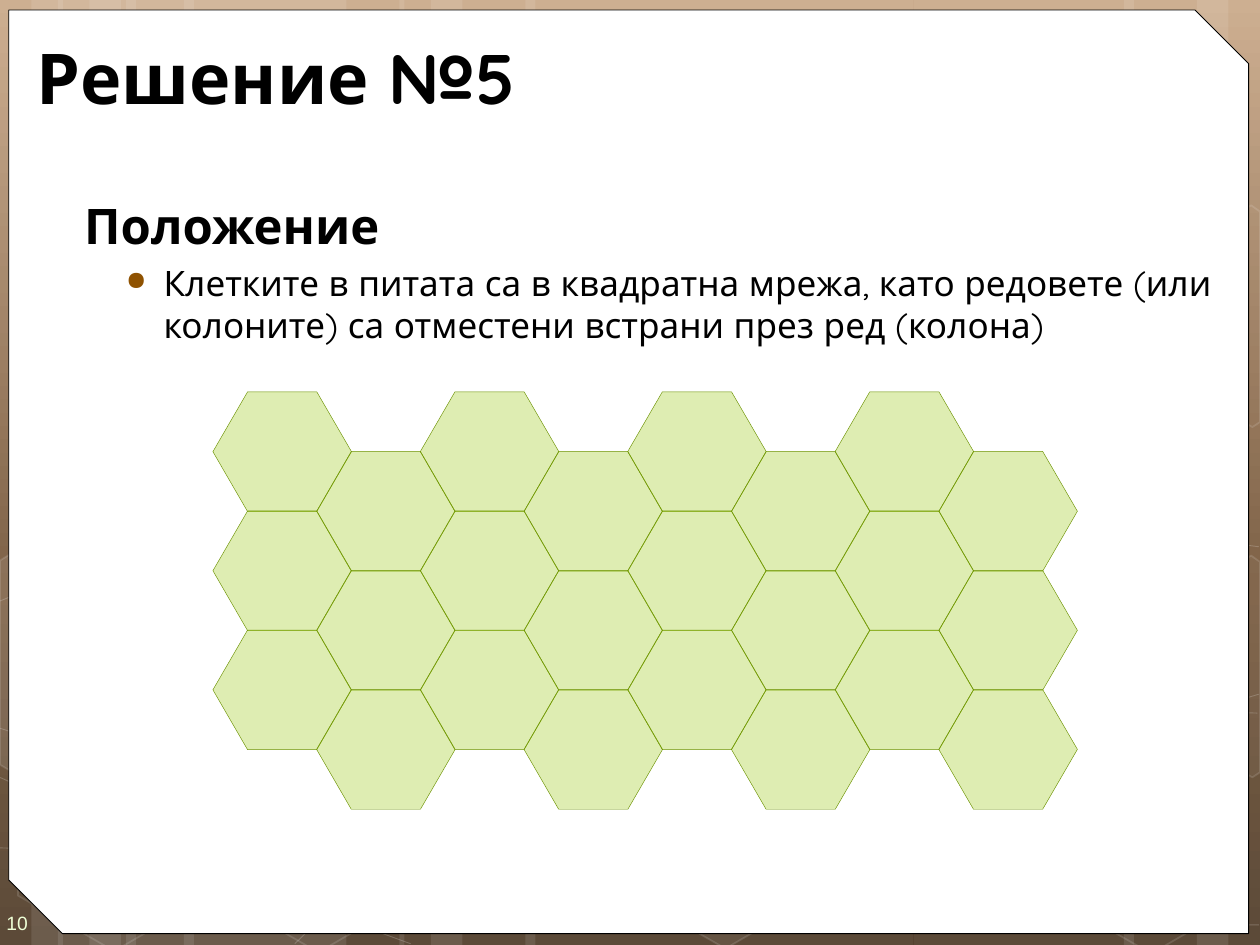
import copy

import pptx
import pptx.util
import pptx.dml.color
import pptx.enum.shapes
import pptx.enum.text
import pptx.oxml
import pptx.oxml.ns

SHAPE = pptx.enum.shapes.MSO_SHAPE
ANCHOR = pptx.enum.text.MSO_ANCHOR
Inches, Pt = pptx.util.Inches, pptx.util.Pt
W, H = 10, 7.5
COLORS = {"white": "FFFFFF", "black": "000000", "number": "EEFFD6", "bullet": "8F5201",
          "cell": "94C600", "cell_line": "6B9100"}
BACKDROP = [(0, "C8A685"), (0.62, "705032"), (1, "4A3622")]

TITLE = "Решение №5"
HEADING = "Положение"
POINT = ("Клетките в питата са в квадратна мрежа, като редовете (или колоните) "
         "са отместени встрани през ред (колона)")
PAGE = "10"

STRIPES = [(1, 1.75), (0, 0.5), (0.25, 0.83), (1.46, 1.75), (0.46, 0.5), (0.71, 0.83),
           (7.25, 1.75), (9.5, 0.5), (8.92, 0.83), (4.17, 3.08), (3.17, 0.5), (3.42, 0.83)]
CURVES = [
    [(0, 6.73), (1.82, 6.78), (4.5, 6.65), (7.83, 6.17), (9.99, 5.51)],
    [(0, 4.77), (1.13, 4.31), (3.39, 3.87), (6.46, 3.87), (9.99, 4.34)],
    [(0, 6.17), (1.64, 6.9), (3.26, 7.49)],
    [(0, 5.78), (1.2, 6.16), (3.48, 6.73), (6.2, 7.18), (8.44, 7.36), (9.99, 7.34)],
    [(2.34, 7.49), (2.94, 6.91), (4.61, 6.09), (6.72, 5.69), (8.78, 5.62), (9.98, 5.66)],
]
EDGE_HEXAGONS = [(4.88, 5.89, 6), (0.03, 5.91, None), (1.65, 5.92, None), (8.26, 5.93, None)]
CUT_HEXAGONS = [
    ([(0, 4.45), (0.11, 4.38), (0.87, 4.82), (0.87, 5.7), (0.12, 6.14), (0, 6.07)], 10),
    ([(9.18, 4.85), (9.93, 4.41), (10, 4.46), (10, 6.13), (9.94, 6.17), (9.17, 5.73)], 4),
    ([(9.18, 2.07), (9.93, 1.63), (10, 1.68), (10, 3.35), (9.94, 3.39), (9.17, 2.95)], None),
]
COMB_COLS, COMB_ROWS = 8, 3
COMB_LEFT, COMB_TOP = 1.69, 3.11
CELL_W, CELL_H = 1.1, 0.95
COL_STEP, ROW_STEP = 0.823, 0.945


def rgb(name):
    return pptx.dml.color.RGBColor.from_string(COLORS.get(name, name))


def set_alpha(fill, percent):
    color = fill._xPr.find(".//" + pptx.oxml.ns.qn("a:srgbClr"))
    color.append(pptx.oxml.parse_xml(
        f'<a:alpha {pptx.oxml.ns.nsdecls("a")} val="{percent * 1000}"/>'))


def paint(sp, fill=None, alpha=100, line=None, width=1, line_alpha=100):
    sp.shadow.inherit = False
    for target, color, opacity in ((sp.fill, fill, alpha), (sp.line.fill, line, line_alpha)):
        if color is None:
            target.background()
            continue
        target.solid()
        target.fore_color.rgb = rgb(color)
        if opacity < 100:
            set_alpha(target, opacity)
    if line:
        sp.line.width = Pt(width)


def add_preset(kind, x, y, w, h, adjust=(), rotation=0, **look):
    sp = s.shapes.add_shape(kind, Inches(x), Inches(y), Inches(w), Inches(h))
    for i, value in enumerate(adjust):
        sp.adjustments[i] = value
    sp.rotation = rotation
    paint(sp, **look)
    return sp


def add_outline(points, close, **look):
    start, *rest = [(Inches(x), Inches(y)) for x, y in points]
    builder = s.shapes.build_freeform(*start)
    builder.add_line_segments(rest, close=close)
    paint(builder.convert_to_shape(), **look)


def write(p, text, size, color="black", bold=False, font="Quicksand", before=0):
    p.alignment = pptx.enum.text.PP_ALIGN.LEFT
    p.space_before = Pt(before)
    r = p.add_run()
    r.text = text
    r.font.size, r.font.bold, r.font.name = Pt(size), bold, font
    r.font.color.rgb = rgb(color)


def place(sp, x, y, w, h, anchor):
    sp.left, sp.top, sp.width, sp.height = (Inches(v) for v in (x, y, w, h))
    tf = sp.text_frame
    tf.word_wrap = True
    tf.auto_size = pptx.enum.text.MSO_AUTO_SIZE.NONE
    tf.vertical_anchor = anchor
    return tf


def indent(p, left, first=0, bullet=None):
    ppr = p._p.get_or_add_pPr()
    ppr.set("marL", str(Inches(left)))
    ppr.set("indent", str(Inches(first)))
    if bullet:
        ns = pptx.oxml.ns.nsdecls("a")
        for xml in (f'<a:buClr {ns}><a:srgbClr val="{COLORS["bullet"]}"/></a:buClr>',
                    f'<a:buSzPct {ns} val="75000"/>',
                    f'<a:buChar {ns} char="{bullet}"/>'):
            ppr.append(pptx.oxml.parse_xml(xml))


prs = pptx.Presentation()
prs.slide_width, prs.slide_height = Inches(W), Inches(H)
s = prs.slides.add_slide(prs.slide_layouts[5])

backdrop = s.background.fill
backdrop.gradient()
backdrop.gradient_angle = 270
last_stop = backdrop.gradient_stops[1]._gs
last_stop.addnext(copy.deepcopy(last_stop))
for stop, (position, color) in zip(backdrop.gradient_stops, BACKDROP):
    stop.position = position
    stop.color.rgb = rgb(color)

for x, w in STRIPES:
    add_preset(SHAPE.RECTANGLE, x, 0, w, H, fill="white", alpha=10)
for points in CURVES:
    add_outline(points, False, line="white", width=0.5, line_alpha=20)
for x, y, alpha in EDGE_HEXAGONS:
    add_preset(SHAPE.HEXAGON, x, y, 1.75, 1.52, (0.285, 1.155), 30,
               fill="white" if alpha else None, alpha=alpha or 100, line="white", line_alpha=12)
for points, alpha in CUT_HEXAGONS:
    add_outline(points, True, fill="white" if alpha else None, alpha=alpha or 100,
                line="white", line_alpha=12)
panel = add_preset(SHAPE.SNIP_2_DIAG_RECTANGLE, 0.07, 0.08, 9.84, 7.33, (0, 0.058),
                   fill="white", line="black", width=0.5)

# The title placeholder comes first in the layout, so lift it above the panel.
panel._element.addnext(s.shapes.title._element)
tf = place(s.shapes.title, 0.19, 0.25, 9.47, 0.71, ANCHOR.MIDDLE)
write(tf.paragraphs[0], TITLE, 40, bold=True)

tf = place(s.shapes.add_textbox(0, 0, 0, 0), 0, 7.1, 0.58, 0.4, ANCHOR.MIDDLE)
tf.margin_left, tf.margin_top, tf.margin_right, tf.margin_bottom = (
    Inches(v) for v in (0.05, 0.15, 0, 0.1))
write(tf.paragraphs[0], PAGE, 11, color="number", font="Arial")

tf = place(s.shapes.add_textbox(0, 0, 0, 0), 0.5, 1.5, 9.42, 5.92, ANCHOR.TOP)
p = tf.paragraphs[0]
indent(p, 0.07)
write(p, HEADING, 28, bold=True)
p = tf.add_paragraph()
indent(p, 0.7, -0.3, "●")
write(p, POINT, 20, before=4)

for row in range(COMB_ROWS):
    for col in range(COMB_COLS):
        add_preset(SHAPE.HEXAGON, COMB_LEFT + col * COL_STEP,
                   COMB_TOP + (row + col % 2 / 2) * ROW_STEP, CELL_W, CELL_H, (0.29, 1.155),
                   fill="cell", alpha=30, line="cell_line", width=0.25)

prs.save("out.pptx")
